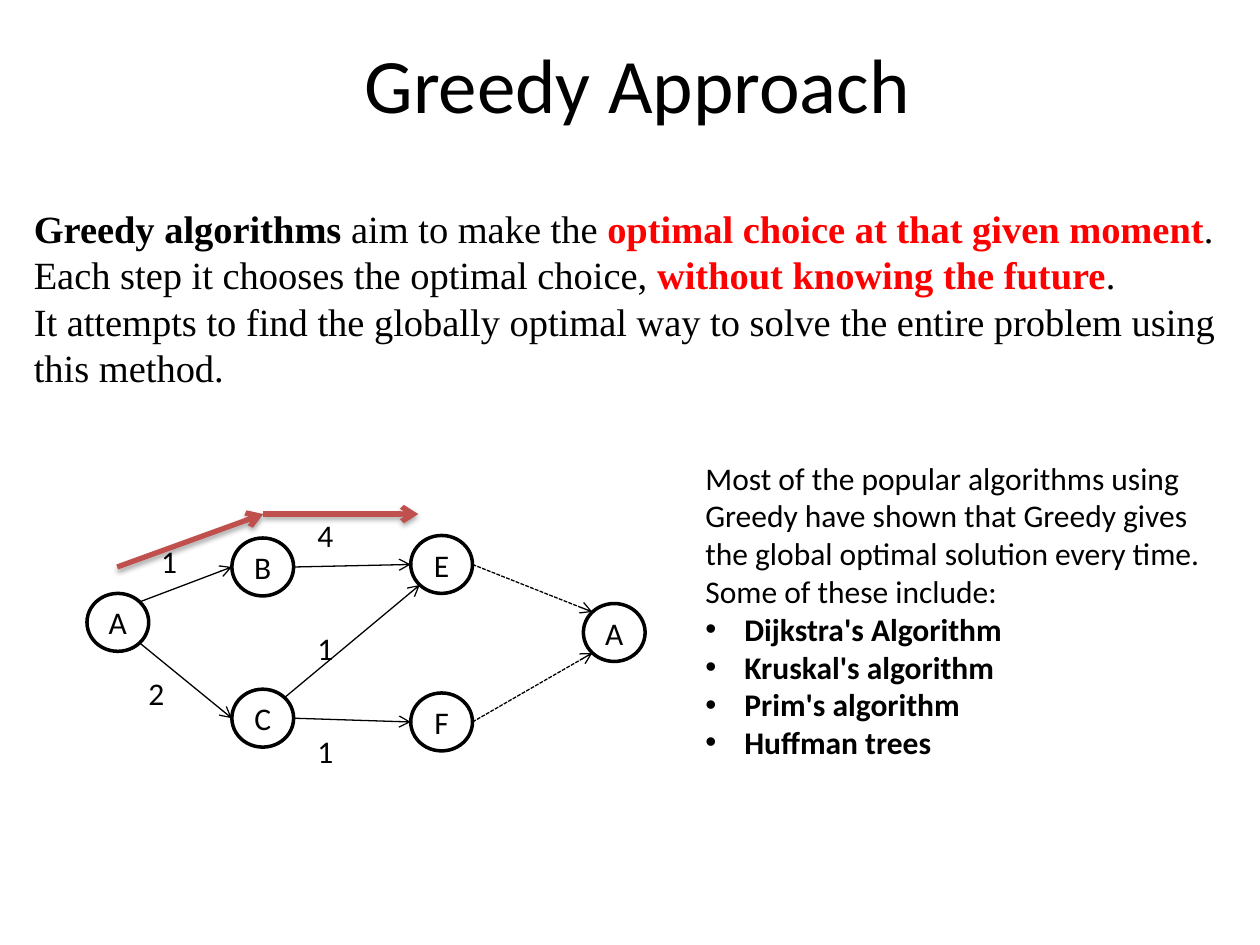
from dataclasses import dataclass
from math import sqrt

from lxml import etree
from pptx import Presentation
from pptx.dml.color import RGBColor
from pptx.enum.dml import MSO_LINE
from pptx.enum.shapes import MSO_CONNECTOR, MSO_SHAPE
from pptx.enum.text import MSO_ANCHOR, MSO_AUTO_SIZE, PP_ALIGN
from pptx.oxml import parse_xml
from pptx.oxml.ns import nsdecls, qn
from pptx.util import Inches, Pt

CENTER = PP_ALIGN.CENTER
MIDDLE = MSO_ANCHOR.MIDDLE
GROW = MSO_AUTO_SIZE.SHAPE_TO_FIT_TEXT
STRAIGHT = MSO_CONNECTOR.STRAIGHT
OVAL = MSO_SHAPE.OVAL
DASH = MSO_LINE.SQUARE_DOT

NODE_WIDTH, NODE_HEIGHT = 0.49, 0.46
LABEL_HEIGHT = 0.4


@dataclass(frozen=True)
class Theme:
    ink: RGBColor = RGBColor(0, 0, 0)
    paper: RGBColor = RGBColor(255, 255, 255)
    highlight: RGBColor = RGBColor(255, 0, 0)
    route: RGBColor = RGBColor(0xC0, 0x50, 0x4D)
    sans: str = "Calibri"
    serif: str = "Times New Roman"
    title_size: int = 44
    lead_size: int = 22
    text_size: int = 18
    route_width: float = 3
    node_width: float = 2
    edge_width: float = 0.75


class SlideBuilder:
    def __init__(self, theme, slide):
        self.theme = theme
        self.slide = slide

    def style(self, span, size=None, font=None, color=None, bold=False):
        span.font.size = Pt(size or self.theme.text_size)
        span.font.name = font or self.theme.sans
        span.font.color.rgb = color or self.theme.ink
        span.font.bold = bold

    def title(self, text, left, top, width, height):
        box = self.slide.shapes.title
        box.left, box.top = Inches(left), Inches(top)
        box.width, box.height = Inches(width), Inches(height)
        frame = box.text_frame
        frame.text = text
        frame.vertical_anchor = MIDDLE
        frame.paragraphs[0].alignment = CENTER
        self.style(frame.paragraphs[0].runs[0], self.theme.title_size)

    def text_box(self, left, top, width, height):
        box = self.slide.shapes.add_textbox(
            Inches(left), Inches(top), Inches(width), Inches(height))
        frame = box.text_frame
        frame.word_wrap = True
        frame.auto_size = GROW
        return frame

    def label(self, text, left, top, width=0.67):
        frame = self.text_box(left, top, width, LABEL_HEIGHT)
        frame.text = text
        self.style(frame.paragraphs[0].runs[0])

    def lead(self, paragraphs, left, top, width, height):
        frame = self.text_box(left, top, width, height)
        frame.text = "\n".join(
            "" for _ in paragraphs)
        for para, pieces in zip(frame.paragraphs, paragraphs):
            for text, color, bold in pieces:
                span = para.add_run()
                span.text = text
                self.style(span, self.theme.lead_size, self.theme.serif, color, bold)

    def bullet_list(self, intro, items, left, top, width, height):
        frame = self.text_box(left, top, width, height)
        frame.text = "\n".join([intro, *items])
        for index, para in enumerate(frame.paragraphs):
            is_item = index > 0
            self.style(para.runs[0], bold=is_item)
            if is_item:
                self.bullet(para)

    def bullet(self, para):
        properties = para._p.get_or_add_pPr()
        properties.set("marL", str(Inches(0.31)))
        properties.set("indent", str(Inches(-0.31)))
        etree.SubElement(properties, qn("a:buFont"), typeface="Arial")
        etree.SubElement(properties, qn("a:buChar"), char="•")

    def node(self, text, left, top):
        shape = self.slide.shapes.add_shape(
            OVAL, Inches(left), Inches(top), Inches(NODE_WIDTH), Inches(NODE_HEIGHT))
        shape.shadow.inherit = False
        shape.fill.solid()
        shape.fill.fore_color.rgb = self.theme.paper
        shape.line.color.rgb = self.theme.ink
        shape.line.width = Pt(self.theme.node_width)
        frame = shape.text_frame
        frame.margin_left = frame.margin_right = 0
        frame.margin_top = frame.margin_bottom = 0
        frame.text = text
        frame.vertical_anchor = MIDDLE
        frame.paragraphs[0].alignment = CENTER
        self.style(frame.paragraphs[0].runs[0])

    def arrow(self, start, end, color, width, dash=None, shadow=False):
        points = [Inches(value) for value in (*start, *end)]
        line = self.slide.shapes.add_connector(STRAIGHT, *points)
        line.line.color.rgb = color
        line.line.width = Pt(width)
        if dash:
            line.line.dash_style = dash
        properties = line._element.spPr
        etree.SubElement(properties.find(qn("a:ln")), qn("a:tailEnd"), type="arrow")
        effects = etree.SubElement(properties, qn("a:effectLst"))
        if shadow:
            effects.append(parse_xml(
                f'<a:outerShdw {nsdecls("a")} blurRad="{Pt(3.1)}" dist="{Pt(1.8)}" '
                'dir="5400000" rotWithShape="0"><a:srgbClr val="000000">'
                '<a:alpha val="35000"/></a:srgbClr></a:outerShdw>'))

    def edge(self, start, end, dash=None):
        self.arrow(start, end, self.theme.ink, self.theme.edge_width, dash)

    def route(self, stops):
        for start, end in zip(stops, stops[1:]):
            self.arrow(start, end, self.theme.route, self.theme.route_width, shadow=True)


def rim_point(corner, direction):
    across, down = direction
    reach = 0.5 / sqrt(across ** 2 + down ** 2)
    return (corner[0] + NODE_WIDTH * (0.5 + across * reach),
            corner[1] + NODE_HEIGHT * (0.5 + down * reach))


def main():
    theme = Theme()
    deck = Presentation()
    deck.slide_width, deck.slide_height = Inches(10), Inches(7.5)
    page = SlideBuilder(theme, deck.slides.add_slide(deck.slide_layouts[5]))

    page.title("Greedy Approach", 0.56, 0.03, 9, 1.25)
    page.lead([
        [("Greedy algorithms", theme.ink, True),
         (" aim to make the ", theme.ink, False),
         ("optimal choice at that given moment", theme.highlight, True),
         (".", theme.ink, False)],
        [("Each step it chooses the optimal choice, ", theme.ink, False),
         ("without knowing the future", theme.highlight, True),
         (".", theme.ink, False)],
        [("It attempts to find the globally optimal way to solve the entire "
          "problem using this method.", theme.ink, False)],
    ], 0.17, 1.58, 9.83, 1.58)
    page.route([(0.93, 4.5), (2.09, 4.08), (3.32, 4.08)])
    page.bullet_list(
        "Most of the popular algorithms using Greedy have shown that Greedy gives "
        "the global optimal solution every time. Some of these include:",
        ["Dijkstra's Algorithm", "Kruskal's algorithm", "Prim's algorithm",
         "Huffman trees"],
        5.5, 3.59, 4.17, 2.52)

    for weight, left, top in [("1", 1.18, 4.25), ("2", 1.08, 5.3),
                              ("4", 2.42, 4.05), ("1", 2.42, 5.76)]:
        page.label(weight, left, top)

    nodes = {"start": ("A", 0.69, 4.71), "C": ("C", 1.84, 5.47),
             "B": ("B", 1.84, 4.27), "F": ("F", 3.26, 5.5),
             "E": ("E", 3.26, 4.25), "goal": ("A", 4.63, 4.79)}
    for text, left, top in nodes.values():
        page.node(text, left, top)

    west, east = (-1, 0), (1, 0)
    northwest, northeast = (-1, -1), (1, -1)
    southwest, southeast = (-1, 1), (1, 1)
    edges = [("start", northeast, "B", west, None),
             ("start", southeast, "C", west, None),
             ("B", east, "E", west, None),
             ("C", east, "F", west, None),
             ("E", east, "goal", northwest, DASH),
             ("F", east, "goal", southwest, DASH),
             ("C", northeast, "E", southwest, None)]
    for source, exit_side, target, entry_side, dash in edges:
        page.edge(rim_point(nodes[source][1:], exit_side),
                  rim_point(nodes[target][1:], entry_side), dash)
    page.label("1", 2.42, 4.94, 0.29)

    deck.save("out.pptx")


if __name__ == "__main__":
    main()
